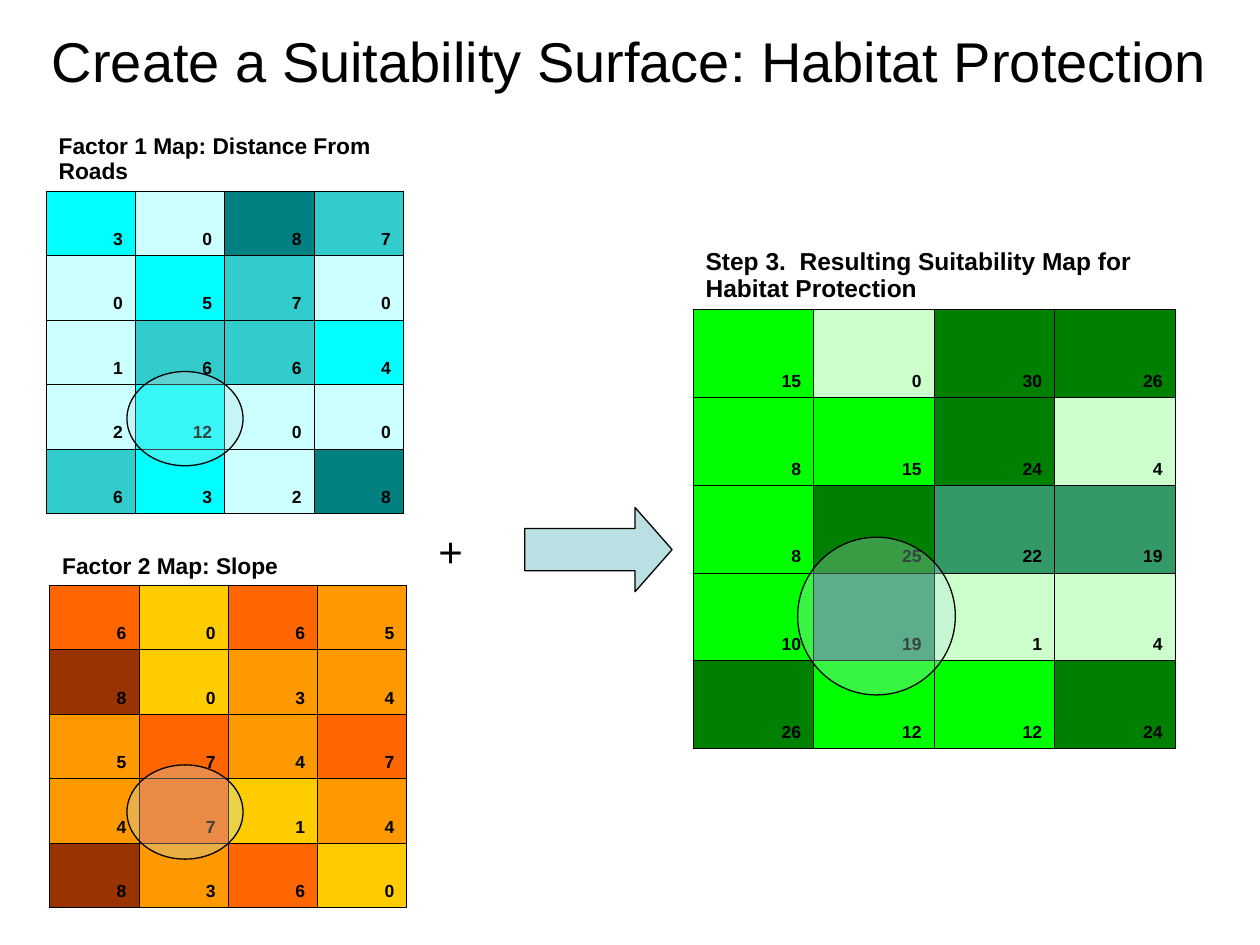
from lxml.etree import SubElement
from pptx import Presentation
from pptx.dml.color import RGBColor
from pptx.enum.shapes import MSO_SHAPE as SHAPE
from pptx.enum.text import MSO_ANCHOR as ANCHOR, MSO_AUTO_SIZE as AUTO_SIZE, PP_ALIGN as ALIGN
from pptx.oxml.ns import qn
from pptx.util import Cm, Pt

FONT = "Arial"
NO_STYLE = "{2D5ABB26-0587-4C30-8999-92F81FD0307C}"
COLORS = {
    "black": "000000", "ice": "BBE0E3",
    "pale_cyan": "CCFFFF", "cyan": "00FFFF", "turquoise": "33CCCC", "teal": "008080",
    "yellow": "FFCC00", "orange": "FF9900", "red_orange": "FF6600", "brown": "993300",
    "pale_green": "CCFFCC", "lime": "00FF00", "sea_green": "339966", "green": "008000",
}

# Each scale lists the highest value of a class and the class colour.
ROADS_SCALE = [(2, "pale_cyan"), (5, "cyan"), (7, "turquoise"), (8, "teal"), (12, "cyan")]
SLOPE_SCALE = [(2, "yellow"), (5, "orange"), (7, "red_orange"), (8, "brown")]
HABITAT_SCALE = [(4, "pale_green"), (15, "lime"), (22, "sea_green"), (30, "green")]

ROADS = [[3, 0, 8, 7], [0, 5, 7, 0], [1, 6, 6, 4], [2, 12, 0, 0], [6, 3, 2, 8]]
SLOPE = [[6, 0, 6, 5], [8, 0, 3, 4], [5, 7, 4, 7], [4, 7, 1, 4], [8, 3, 6, 0]]
HABITAT = [[15, 0, 30, 26], [8, 15, 24, 4], [8, 25, 22, 19], [10, 19, 1, 4], [26, 12, 12, 24]]


def rgb(name):
    return RGBColor.from_string(COLORS[name])


def write(tf, text, size, bold=False, align=ALIGN.LEFT):
    p = tf.paragraphs[0]
    p.text = text
    p.alignment = align
    p.font.name, p.font.size, p.font.bold = FONT, Pt(size), bold
    p.font.color.rgb = rgb("black")


def add_borders(cell, sides):
    """Draw thin black borders; call before the cell gets its fill."""
    tc_pr = cell._tc.get_or_add_tcPr()
    for side in sides:
        ln = SubElement(tc_pr, qn(f"a:ln{side}"), w=str(Pt(0.45)))
        fill = SubElement(ln, qn("a:solidFill"))
        SubElement(fill, qn("a:srgbClr"), val=COLORS["black"])


def add_map(s, title, values, scale, left, top, col_width, title_height, row_height,
            title_size=13, title_span=4):
    """Add a raster map as a table, its title in a merged first row."""
    rows, cols = len(values) + 1, len(values[0])
    frame = s.shapes.add_table(rows, cols, Cm(left), Cm(top), Cm(col_width * cols),
                               Cm(title_height + row_height * len(values)))
    for style in frame.element.iter(qn("a:tableStyleId")):
        style.text = NO_STYLE
    table = frame.table
    table.first_row = table.horz_banding = False
    for column in table.columns:
        column.width = Cm(col_width)
    for i, row in enumerate(table.rows):
        row.height = Cm(row_height if i else title_height)

    for cell in table.rows[0].cells:
        add_borders(cell, "B")
        cell.fill.background()
    heading = table.cell(0, 0)
    heading.merge(table.cell(0, title_span - 1))
    heading.vertical_anchor = ANCHOR.BOTTOM
    write(heading.text_frame, title, title_size, bold=True)

    for i, row_values in enumerate(values, 1):
        for j, value in enumerate(row_values):
            cell = table.cell(i, j)
            add_borders(cell, "LRTB")
            cell.fill.solid()
            cell.fill.fore_color.rgb = rgb(next(c for top_value, c in scale if value <= top_value))
            cell.vertical_anchor = ANCHOR.BOTTOM
            write(cell.text_frame, str(value), 10, bold=True, align=ALIGN.RIGHT)


def add_figure(s, kind, left, top, width, height, opacity=None):
    sp = s.shapes.add_shape(kind, Cm(left), Cm(top), Cm(width), Cm(height))
    sp.shadow.inherit = False
    sp.fill.solid()
    sp.fill.fore_color.rgb = rgb("ice")
    sp.line.color.rgb = rgb("black")
    sp.line.width = Pt(0.75)
    if opacity is not None:
        color = sp.element.spPr.find(qn("a:solidFill")).find(qn("a:srgbClr"))
        SubElement(color, qn("a:alpha"), val=str(opacity * 1000))
    return sp


def add_text(s, text, left, top, width, height, size, align=ALIGN.LEFT, anchor=ANCHOR.TOP):
    tf = s.shapes.add_textbox(Cm(left), Cm(top), Cm(width), Cm(height)).text_frame
    tf.word_wrap = True
    tf.vertical_anchor = anchor
    write(tf, text, size, align=align)
    return tf


def main():
    prs = Presentation()
    prs.slide_width, prs.slide_height = Cm(25.4), Cm(19.05)
    s = prs.slides.add_slide(prs.slide_layouts[6])

    add_map(s, "Step 3.  Resulting Suitability Map for Habitat Protection", HABITAT,
            HABITAT_SCALE, 13.97, 4.27, 2.43, 1.97, 1.77, title_size=14)
    arrow = add_figure(s, SHAPE.RIGHT_ARROW, 10.58, 10.23, 2.97, 1.7)
    arrow.adjustments[1] = 0.44
    plus = add_text(s, "+", 8.59, 10.46, 1.52, 1.28, 24)
    plus.auto_size = AUTO_SIZE.SHAPE_TO_FIT_TEXT
    add_figure(s, SHAPE.OVAL, 16.08, 10.83, 3.18, 3.18, opacity=30)

    factor_size = (1.8, 1.75, 1.3)
    add_map(s, "Factor 1 Map: Distance From Roads", ROADS, ROADS_SCALE, 0.93, 2.1, *factor_size)
    add_map(s, "Factor 2 Map: Slope", SLOPE, SLOPE_SCALE, 1, 10.05, *factor_size, title_span=3)
    for top in (7.49, 15.42):
        add_figure(s, SHAPE.OVAL, 2.56, top, 2.34, 1.9, opacity=30)

    add_text(s, "Create a Suitability Surface: Habitat Protection", 0, -0.38, 25.4, 3.18, 32,
             align=ALIGN.CENTER, anchor=ANCHOR.MIDDLE)
    prs.save("out.pptx")


if __name__ == "__main__":
    main()
